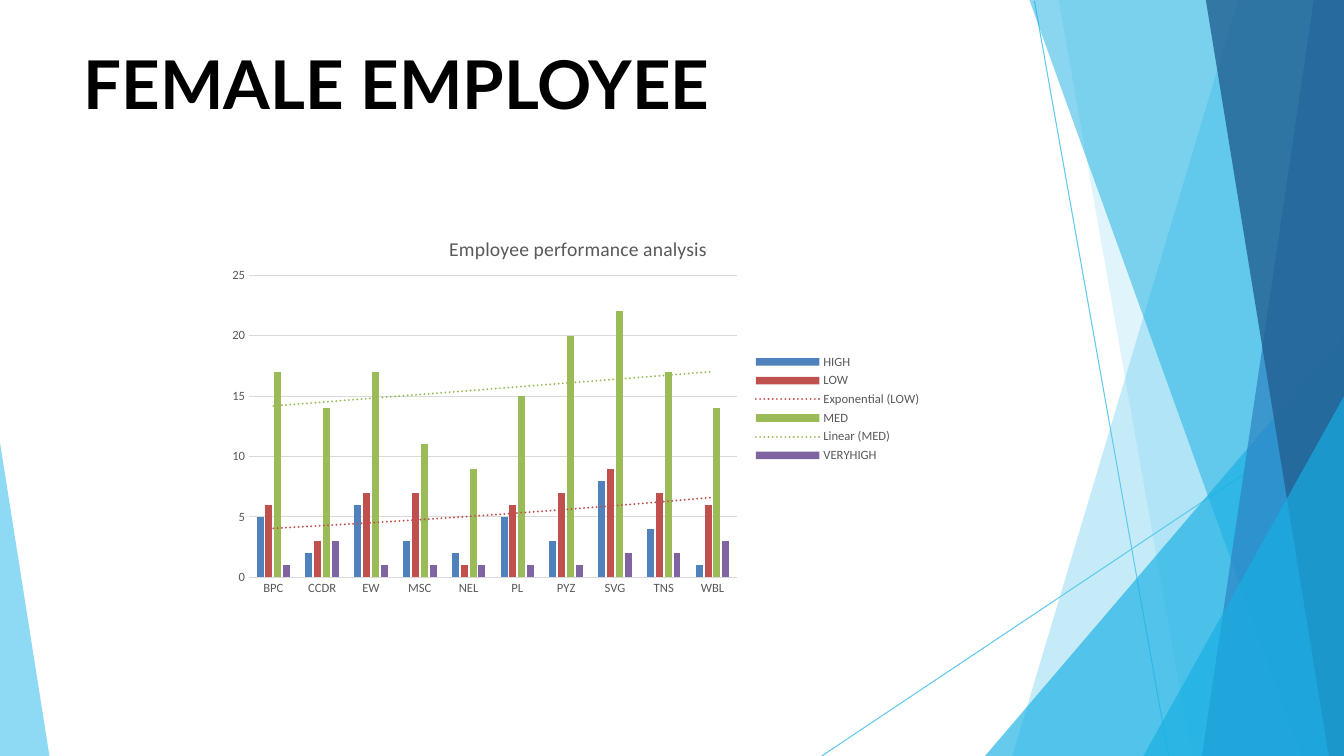
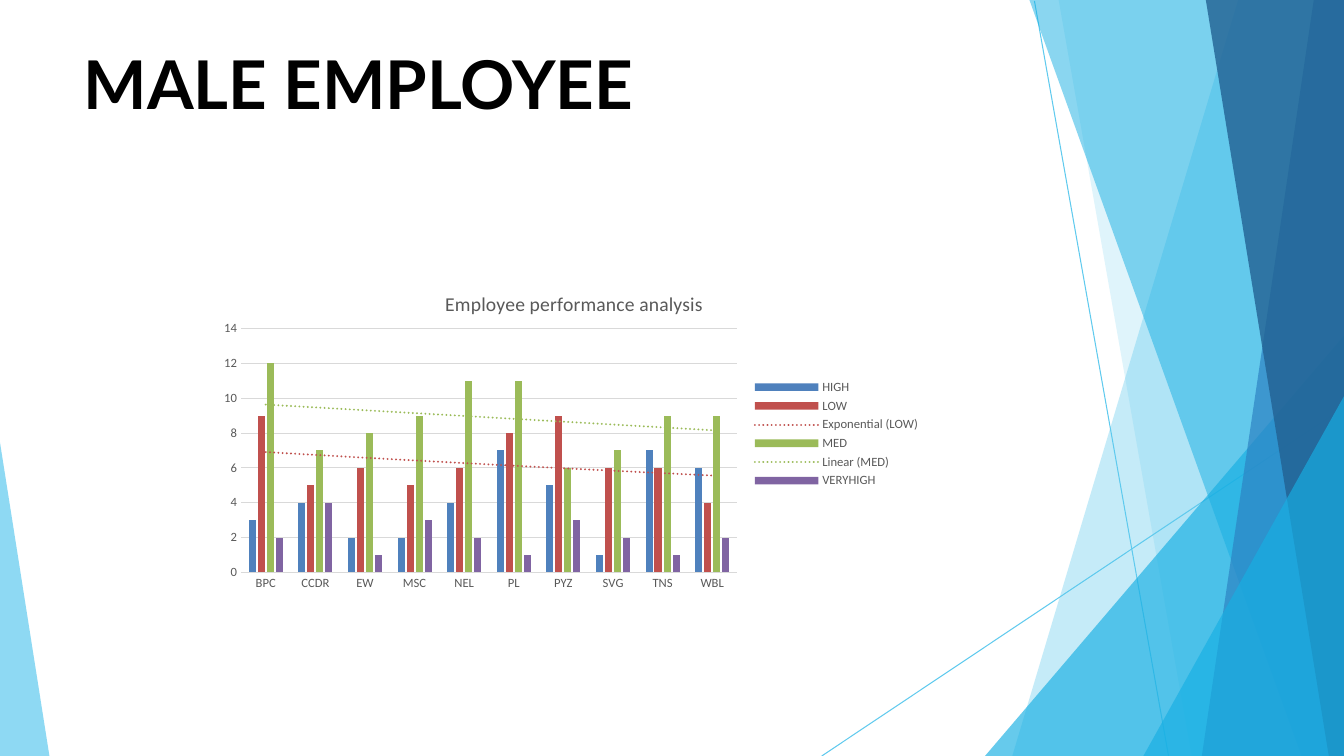
from typing import NamedTuple

from lxml.etree import SubElement
from pptx import Presentation
from pptx.chart.chart import Chart
from pptx.chart.data import CategoryChartData
from pptx.dml.color import RGBColor
from pptx.enum.chart import XL_CHART_TYPE, XL_LEGEND_POSITION, XL_TICK_MARK
from pptx.enum.shapes import MSO_CONNECTOR, PP_PLACEHOLDER
from pptx.enum.text import MSO_ANCHOR, MSO_AUTO_SIZE, PP_ALIGN
from pptx.oxml.ns import qn
from pptx.slide import Slide, SlideLayout
from pptx.util import Inches, Pt

WIDTH, HEIGHT = 13.33, 7.5
TITLE_FONT, CHART_FONT = "Lato", "Calibri"
COLORS = {
    "sky": "5FCAEE", "cyan": "17AFE3", "blue": "2D83C3", "navy": "226192",
    "black": "000000", "label": "595959", "grid": "D9D9D9",
    "HIGH": "4F81BD", "LOW": "C0504D", "MED": "9BBB59", "VERYHIGH": "8064A2",
}
UNITS = ["BPC", "CCDR", "EW", "MSC", "NEL", "PL", "PYZ", "SVG", "TNS", "WBL"]
TRENDS = {"LOW": "exp", "MED": "linear"}
CHART_TITLE = "Employee performance analysis"

Point = tuple[float, float]


class Ray(NamedTuple):
    start: Point
    end: Point


class Facet(NamedTuple):
    color: str
    opacity: int
    corners: list[Point]


class Frame(NamedTuple):
    left: float
    top: float
    width: float
    height: float


class Report(NamedTuple):
    title: str
    chart: Frame
    plot: Frame
    chart_title: Point
    ratings: dict[str, list[int]]


def right_facet(color: str, opacity: int, top: Point, bottom_x: float) -> Facet:
    """Facet reaching from a slanted left side to the right slide edge."""
    corners = [(WIDTH, top[1]), top, (bottom_x, HEIGHT), (WIDTH, HEIGHT)]
    return Facet(color, opacity, corners)


RAYS = [Ray((10.26, 0.01), (11.59, HEIGHT)), Ray((WIDTH, 4.04), (8.15, HEIGHT))]
FACETS = [
    right_facet("sky", 36, (12.28, 0), 10.04),
    right_facet("sky", 20, (10.5, 0), 11.82),
    right_facet("cyan", 66, (WIDTH, 3.33), 9.77),
    right_facet("cyan", 50, (10.21, 0), 12.91),
    right_facet("blue", 70, (13.03, 0), 11.92),
    right_facet("navy", 80, (11.96, 0), 13.18),
    right_facet("cyan", 66, (WIDTH, 3.93), 11.34),
    Facet("sky", 70, [(0, 4.39), (0, HEIGHT), (0.49, HEIGHT)]),
]
REPORTS = [
    Report(
        "FEMALE EMPLOYEE",
        Frame(2.17, 2.11, 7.07, 3.89),
        Frame(2.47, 2.73, 4.84, 3.0),
        (4.42, 2.3),
        {
            "HIGH": [5, 2, 6, 3, 2, 5, 3, 8, 4, 1],
            "LOW": [6, 3, 7, 7, 1, 6, 7, 9, 7, 6],
            "MED": [17, 14, 17, 11, 9, 15, 20, 22, 17, 14],
            "VERYHIGH": [1, 3, 1, 1, 1, 1, 1, 2, 2, 3],
        },
    ),
    Report(
        "MALE EMPLOYEE",
        Frame(2.08, 2.67, 7.15, 3.27),
        Frame(2.39, 3.26, 4.92, 2.42),
        (4.38, 2.84),
        {
            "HIGH": [3, 4, 2, 2, 4, 7, 5, 1, 7, 6],
            "LOW": [9, 5, 6, 5, 6, 8, 9, 6, 6, 4],
            "MED": [12, 7, 8, 9, 11, 11, 6, 7, 9, 9],
            "VERYHIGH": [2, 4, 1, 3, 2, 1, 3, 2, 1, 2],
        },
    ),
]


def rgb(name: str) -> RGBColor:
    return RGBColor.from_string(COLORS[name])


def set_font(font, size: float, color: str, name: str = CHART_FONT, bold: bool = False) -> None:
    font.name, font.size, font.bold = name, Pt(size), bold
    font.color.rgb = rgb(color)


def set_line(line, color: str) -> None:
    line.color.rgb = rgb(color)
    line.width = Pt(0.75)


def draw_ray(slide: Slide, ray: Ray):
    ends = [Inches(value) for value in (*ray.start, *ray.end)]
    connector = slide.shapes.add_connector(MSO_CONNECTOR.STRAIGHT, *ends)
    set_line(connector.line, "sky")
    SubElement(connector.element.spPr, qn("a:effectLst"))
    return connector


def draw_facet(slide: Slide, facet: Facet):
    first, *rest = [(Inches(x), Inches(y)) for x, y in facet.corners]
    builder = slide.shapes.build_freeform(*first)
    builder.add_line_segments(rest, close=True)
    shape = builder.convert_to_shape()
    shape.shadow.inherit = False
    shape.fill.solid()
    shape.fill.fore_color.rgb = rgb(facet.color)
    color = shape.element.spPr.find(f".//{qn('a:srgbClr')}")
    SubElement(color, qn("a:alpha"), val=str(facet.opacity * 1000))
    shape.line.fill.background()
    return shape


def decorate_layout(layout: SlideLayout, slide: Slide) -> None:
    """Draw the backdrop on a slide, then move it to the shared layout."""
    for placeholder in list(layout.placeholders):
        if placeholder.placeholder_format.type != PP_PLACEHOLDER.TITLE:
            layout.shapes.element.remove(placeholder.element)
    backdrop = [draw_ray(slide, ray) for ray in RAYS]
    backdrop += [draw_facet(slide, facet) for facet in FACETS]
    for part in backdrop:
        layout.shapes.element.append(part.element)


def write_title(slide: Slide, text: str) -> None:
    title = slide.shapes.title
    title.left, title.top = Inches(0.83), Inches(0.42)
    title.width, title.height = Inches(11.68), Inches(0.83)
    frame = title.text_frame
    frame.margin_left = frame.margin_top = frame.margin_right = frame.margin_bottom = 0
    frame.vertical_anchor = MSO_ANCHOR.TOP
    frame.word_wrap = True
    frame.auto_size = MSO_AUTO_SIZE.SHAPE_TO_FIT_TEXT
    paragraph = frame.paragraphs[0]
    paragraph.alignment = PP_ALIGN.LEFT
    run = paragraph.add_run()
    run.text = text
    set_font(run.font, 48, "black", TITLE_FONT, bold=True)


def place_in_chart(parent, index: int, settings: dict[str, str | float]) -> None:
    """Replace a chart part's automatic layout by a manual one."""
    for automatic in parent.findall(qn("c:layout")):
        parent.remove(automatic)
    layout = parent.makeelement(qn("c:layout"))
    manual = SubElement(layout, qn("c:manualLayout"))
    for tag, value in settings.items():
        text = value if isinstance(value, str) else f"{value:.4f}"
        SubElement(manual, qn(f"c:{tag}"), val=text)
    parent.insert(index, layout)


def arrange_chart(chart: Chart, report: Report) -> None:
    outer, plot = report.chart, report.plot

    def fractions(left: float, top: float) -> dict[str, str | float]:
        return {
            "xMode": "edge", "yMode": "edge",
            "x": (left - outer.left) / outer.width,
            "y": (top - outer.top) / outer.height,
        }

    size = {"w": plot.width / outer.width, "h": plot.height / outer.height}
    plot_area = chart.element.find(f".//{qn('c:plotArea')}")
    inner = {"layoutTarget": "inner", **fractions(plot.left, plot.top), **size}
    place_in_chart(plot_area, 0, inner)
    title = chart.element.find(f".//{qn('c:title')}")
    place_in_chart(title, 1, fractions(*report.chart_title))


def add_trend(series, kind: str, color: str) -> None:
    trend = series.makeelement(qn("c:trendline"))
    properties = SubElement(trend, qn("c:spPr"))
    line = SubElement(properties, qn("a:ln"), w=str(Pt(1.5)), cap="rnd")
    fill = SubElement(line, qn("a:solidFill"))
    SubElement(fill, qn("a:srgbClr"), val=COLORS[color])
    SubElement(line, qn("a:prstDash"), val="sysDot")
    for tag, value in (("trendlineType", kind), ("dispRSqr", "0"), ("dispEq", "0")):
        SubElement(trend, qn(f"c:{tag}"), val=value)
    series.find(qn("c:cat")).addprevious(trend)


def style_axes(chart: Chart) -> None:
    for axis in (chart.category_axis, chart.value_axis):
        axis.major_tick_mark = axis.minor_tick_mark = XL_TICK_MARK.NONE
        set_font(axis.tick_labels.font, 9, "label")
    set_line(chart.category_axis.format.line, "grid")
    chart.value_axis.format.line.fill.background()
    chart.value_axis.has_major_gridlines = True
    set_line(chart.value_axis.major_gridlines.format.line, "grid")


def draw_chart(slide: Slide, report: Report) -> None:
    data = CategoryChartData()
    data.categories = UNITS
    for rating, counts in report.ratings.items():
        data.add_series(rating, counts)
    frame = [Inches(value) for value in report.chart]
    chart = slide.shapes.add_chart(XL_CHART_TYPE.COLUMN_CLUSTERED, *frame, data).chart
    set_font(chart.font, 10, "black")
    chart.has_title = True
    run = chart.chart_title.text_frame.paragraphs[0].add_run()
    run.text = CHART_TITLE
    set_font(run.font, 14, "label")
    chart.has_legend = True
    chart.legend.position = XL_LEGEND_POSITION.RIGHT
    chart.legend.include_in_layout = False
    set_font(chart.legend.font, 9, "label")
    style_axes(chart)

    columns = chart.plots[0]
    columns.vary_by_categories = False
    columns.gap_width, columns.overlap = 219, -27
    elements = chart.element.findall(f".//{qn('c:ser')}")
    for series, element in zip(columns.series, elements):
        series.format.fill.solid()
        series.format.fill.fore_color.rgb = rgb(series.name)
        if series.name in TRENDS:
            add_trend(element, TRENDS[series.name], series.name)
    arrange_chart(chart, report)


def main() -> None:
    presentation = Presentation()
    presentation.slide_width = Inches(WIDTH)
    presentation.slide_height = Inches(HEIGHT)
    title_only = presentation.slide_layouts[5]
    slides = [presentation.slides.add_slide(title_only) for _ in REPORTS]
    decorate_layout(title_only, slides[0])
    for slide, report in zip(slides, REPORTS):
        write_title(slide, report.title)
        draw_chart(slide, report)
    presentation.save("out.pptx")


if __name__ == "__main__":
    main()
